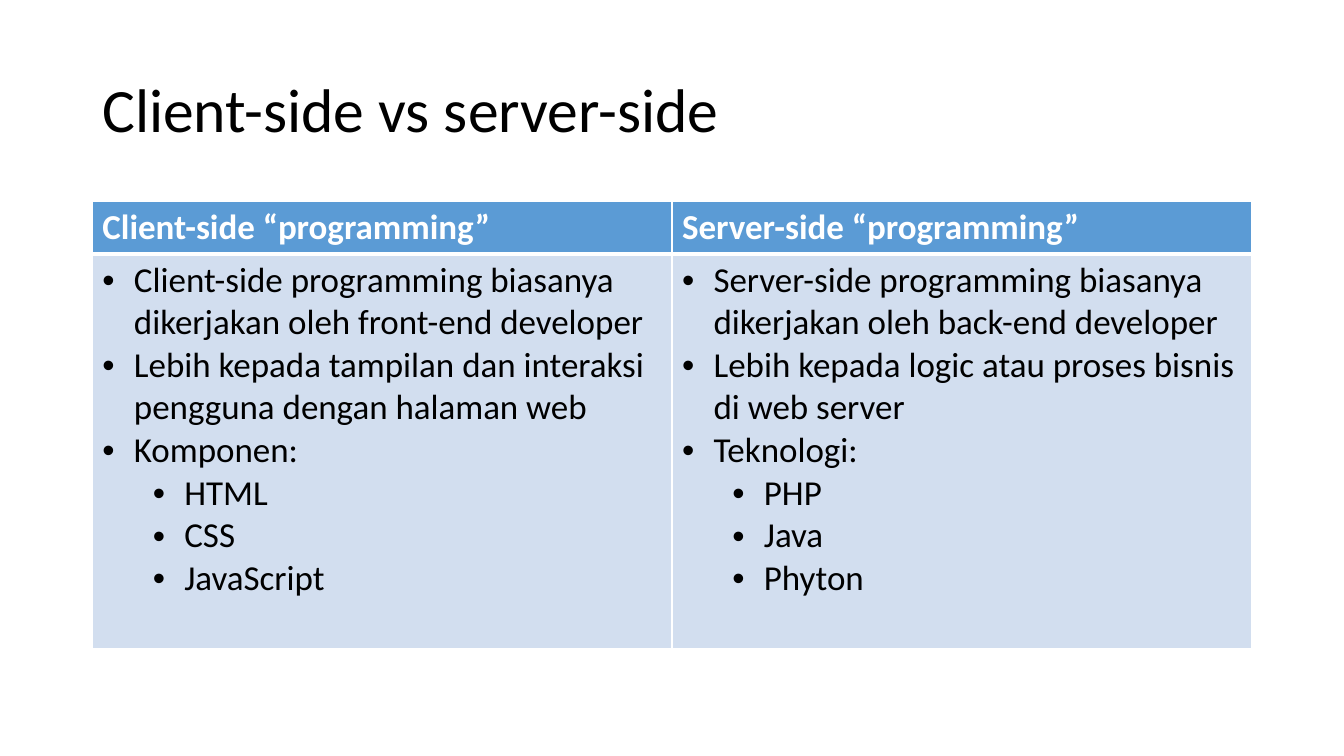
import pptx
import pptx.dml.color
import pptx.enum.text
import pptx.oxml
import pptx.oxml.ns
import pptx.util
from lxml import etree

COLORS = {
    "black": "000000",
    "white": "FFFFFF",
    "header": "5B9BD5",
    "body": "D2DEEF",
}
COLUMNS = [
    ("Client-side “programming”", [
        (0, "Client-side programming biasanya dikerjakan oleh front-end developer"),
        (0, "Lebih kepada tampilan dan interaksi pengguna dengan halaman web"),
        (0, "Komponen:"),
        (1, "HTML"),
        (1, "CSS"),
        (1, "JavaScript"),
    ]),
    ("Server-side “programming”", [
        (0, "Server-side programming biasanya dikerjakan oleh back-end developer"),
        (0, "Lebih kepada logic atau proses bisnis di web server"),
        (0, "Teknologi:"),
        (1, "PHP"),
        (1, "Java"),
        (1, "Phyton"),
    ]),
]


def px(length):
    return pptx.util.Emu(length * 9525)


def color(name):
    return pptx.dml.color.RGBColor.from_string(COLORS[name])


class SlideBuilder:
    font_name = "Calibri"
    title_size = 44
    table_size = 25
    bullet_indent = 30
    level_indent = 48

    def __init__(self, slide):
        self.slide = slide

    def format_runs(self, paragraph, size, color_name, bold=False):
        for run in paragraph.runs:
            run.font.name = self.font_name
            run.font.size = pptx.util.Pt(size)
            run.font.bold = bold
            run.font.color.rgb = color(color_name)

    def title(self, text, left, top, width, height):
        shape = self.slide.shapes.add_textbox(px(left), px(top), px(width), px(height))
        text_frame = shape.text_frame
        text_frame.word_wrap = True
        text_frame.vertical_anchor = pptx.enum.text.MSO_ANCHOR.MIDDLE
        text_frame.text = text
        paragraph = text_frame.paragraphs[0]
        paragraph.line_spacing = 0.9
        self.format_runs(paragraph, self.title_size, "black")

    def bullet(self, paragraph, level):
        paragraph.level = level
        properties = paragraph._p.get_or_add_pPr()
        properties.set("marL", str(px(self.bullet_indent + level * self.level_indent)))
        properties.set("indent", str(-px(self.bullet_indent)))
        qn = pptx.oxml.ns.qn
        etree.SubElement(properties, qn("a:buFont"), typeface="Arial")
        etree.SubElement(properties, qn("a:buChar"), char="•")

    def paint_cell(self, cell, fill_name, top_width, bottom_width):
        qn = pptx.oxml.ns.qn
        properties = cell._tc.get_or_add_tcPr()
        widths = {"lnL": 1, "lnR": 1, "lnT": top_width, "lnB": bottom_width}
        for side, width in widths.items():
            line = etree.SubElement(properties, qn("a:" + side), w=str(pptx.util.Pt(width)))
            fill = etree.SubElement(line, qn("a:solidFill"))
            etree.SubElement(fill, qn("a:srgbClr"), val=COLORS["white"])
        cell.fill.solid()
        cell.fill.fore_color.rgb = color(fill_name)

    def comparison_table(self, columns, left, top, width, row_heights):
        shape = self.slide.shapes.add_table(
            len(row_heights), len(columns),
            px(left), px(top), px(width), px(sum(row_heights)))
        table = shape.table
        table.horz_banding = False
        for row, height in zip(table.rows, row_heights):
            row.height = px(height)
        for index, (heading, items) in enumerate(columns):
            table.columns[index].width = px(width // len(columns))
            header = table.cell(0, index)
            header.text_frame.text = heading
            self.format_runs(header.text_frame.paragraphs[0], self.table_size, "white", True)
            self.paint_cell(header, "header", 1, 3)
            body = table.cell(1, index)
            body.text_frame.text = "\n".join(text for level, text in items)
            for paragraph, (level, text) in zip(body.text_frame.paragraphs, items):
                self.bullet(paragraph, level)
                self.format_runs(paragraph, self.table_size, "black")
            self.paint_cell(body, "body", 3, 1)


def main():
    presentation = pptx.Presentation()
    presentation.slide_width = px(1280)
    presentation.slide_height = px(720)
    builder = SlideBuilder(presentation.slides.add_slide(presentation.slide_layouts[6]))
    builder.title("Client-side vs server-side", 88, 38, 1104, 139)
    builder.comparison_table(COLUMNS, 88, 192, 1104, [49, 376])
    presentation.save("out.pptx")


if __name__ == "__main__":
    main()
